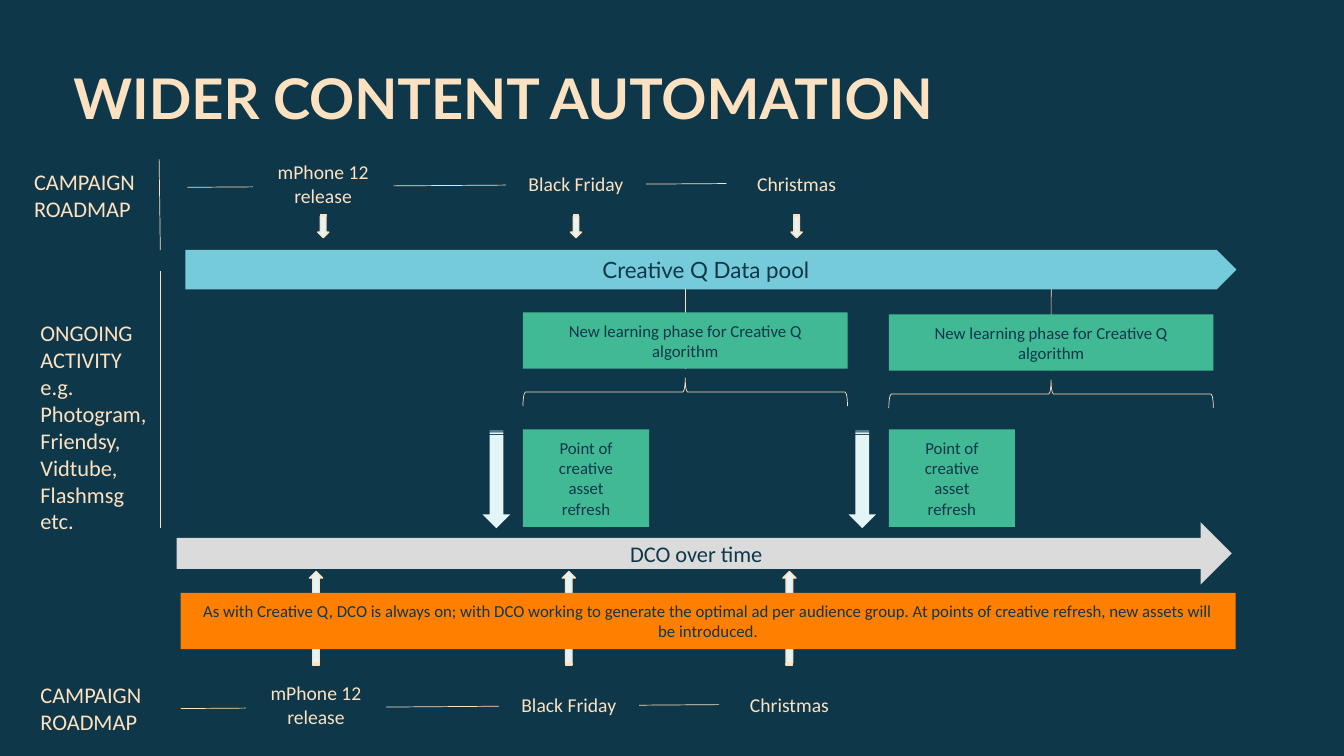
"""Build the slide on wider content automation."""
from dataclasses import dataclass

from lxml.etree import SubElement
from pptx import Presentation
from pptx.dml.color import RGBColor
from pptx.enum.shapes import MSO_CONNECTOR, MSO_SHAPE as Preset
from pptx.enum.text import MSO_ANCHOR as Anchor, MSO_AUTO_SIZE as AutoSize, PP_ALIGN as Align
from pptx.oxml.ns import qn
from pptx.shapes.autoshape import Shape
from pptx.shapes.connector import Connector
from pptx.slide import Slide
from pptx.util import Cm, Pt

COLOURS = {
    "navy": "0F374A",
    "cream": "FDE2C1",
    "ice": "E3F5F7",
    "green": "41B994",
    "sky": "75CBD9",
    "grey": "DBDBDB",
    "orange": "FF7F00",
}
LABEL_WIDTH = 3.53
PHASE_WIDTH, PHASE_HEIGHT = 8.18, 1.42
POINT_TOP, POINT_WIDTH, POINT_HEIGHT = 10.82, 3.18, 2.46


@dataclass
class Box:
    """A text block; a block without a fill is a plain text box."""
    text: str
    left: float
    top: float
    width: float
    height: float
    size: float
    fill: str | None = None
    colour: str = "cream"
    font: str = "Calibri"
    preset: Preset = Preset.RECTANGLE
    align: Align = Align.CENTER
    anchor: Anchor = Anchor.TOP
    inset_x: float = 0
    inset_y: float = 0
    grow: bool = True


@dataclass
class Event:
    """A campaign date, placed for the upper roadmap."""
    name: str
    left: float
    top: float
    height: float


@dataclass
class Roadmap:
    """A row of events with its label, line and arrows."""
    label_left: float
    label_top: float
    label_fill: str | None
    shift_x: float
    shift_y: float
    arrow_y: float
    arrow_length: float
    arrow_thickness: float
    rotation: int
    joins_label: bool


@dataclass
class Phase:
    """A learning phase and the asset refresh below it."""
    left: float
    top: float


EVENTS = [
    Event("mPhone 12 release", 6.38, 4.04, 1.19),
    Event("Black Friday", 12.75, 4.34, 0.61),
    Event("Christmas", 18.31, 4.32, 0.61),
]
ROADMAPS = [
    Roadmap(0.86, 4.24, None, 0, 0, 5.7, 0.58, 0.28, 90, False),
    Roadmap(1.02, 17.17, "navy", -0.18, 13.13, 15.58, 2.36, 0.33, 270, True),
]
PHASES = [Phase(13.18, 7.87), Phase(22.4, 7.92)]
DIVIDERS = [(4.01, 4.01, 4.04, 6.3), (4.04, 6.83, 4.04, 13.31)]
ONGOING = Box("ONGOING ACTIVITY\ne.g.\nPhotogram, Friendsy, Vidtube, Flashmsg\netc.",
              1.02, 8.05, LABEL_WIDTH, 5.46, 16, align=Align.LEFT)
BARS = [
    Box("DCO over time", 4.45, 13.16, 26.59, 1.57, 16, "grey", "navy", preset=Preset.RIGHT_ARROW,
        anchor=Anchor.MIDDLE, inset_x=0.2, inset_y=0.2, grow=False),
    Box("Creative Q Data pool", 4.67, 6.3, 26.49, 0.99, 16, "sky", "navy", "Lato", Preset.PENTAGON,
        anchor=Anchor.MIDDLE, inset_x=0.2, inset_y=0.2, grow=False),
]


def rgb(name: str) -> RGBColor:
    """Return the named colour."""
    return RGBColor.from_string(COLOURS[name])


def note(text: str, left: float, top: float, width: float, height: float, fill: str) -> Box:
    """Describe a filled panel with small dark text."""
    return Box(text, left, top, width, height, 12, fill, "navy",
               anchor=Anchor.MIDDLE, inset_x=0.51, inset_y=0.2)


def draw_box(page: Slide, box: Box) -> Shape:
    """Draw a text block."""
    frame = [Cm(value) for value in (box.left, box.top, box.width, box.height)]
    if box.fill:
        shape = page.shapes.add_shape(box.preset, *frame)
        shape.shadow.inherit = False
        shape.fill.solid()
        shape.fill.fore_color.rgb = rgb(box.fill)
        shape.line.fill.background()
    else:
        shape = page.shapes.add_textbox(*frame)
    body = shape.text_frame
    body.text = box.text
    body.word_wrap = True
    body.auto_size = AutoSize.SHAPE_TO_FIT_TEXT if box.grow else AutoSize.NONE
    body.vertical_anchor = box.anchor
    body.margin_left = body.margin_right = Cm(box.inset_x)
    body.margin_top = body.margin_bottom = Cm(box.inset_y)
    for para in body.paragraphs:
        para.alignment = box.align
        para.font.name = box.font
        para.font.size = Pt(box.size)
        para.font.color.rgb = rgb(box.colour)
    return shape


def draw_turned(page: Slide, preset: Preset, centre_x: float, centre_y: float, width: float,
                height: float, rotation: int, fill: str | None, line: float) -> None:
    """Draw a rotated preset around its centre; a zero line width means no outline."""
    shape = page.shapes.add_shape(preset, Cm(centre_x - width / 2), Cm(centre_y - height / 2),
                                  Cm(width), Cm(height))
    shape.shadow.inherit = False
    shape.rotation = rotation
    if fill:
        shape.fill.solid()
        shape.fill.fore_color.rgb = rgb(fill)
    else:
        shape.fill.background()
    if line:
        shape.line.color.rgb = rgb("cream")
        shape.line.width = Pt(line)
    else:
        shape.line.fill.background()


def draw_line(page: Slide, x1: float, y1: float, x2: float, y2: float) -> Connector:
    """Draw a thin straight line."""
    line = page.shapes.add_connector(MSO_CONNECTOR.STRAIGHT, Cm(x1), Cm(y1), Cm(x2), Cm(y2))
    line.line.color.rgb = rgb("cream")
    line.line.width = Pt(0.5)
    SubElement(line._element.spPr, qn("a:effectLst"))
    return line


def draw_roadmap(page: Slide, row: Roadmap) -> None:
    """Draw the label, the line, the events and their arrows."""
    line = draw_line(page, 4.72, 4.72, 18.31, 4.62)
    label = draw_box(page, Box("CAMPAIGN ROADMAP", row.label_left, row.label_top, LABEL_WIDTH,
                               1.37, 16, row.label_fill, align=Align.LEFT))
    if row.joins_label:
        line.begin_connect(label, 3)
    for event in EVENTS:
        left = event.left + row.shift_x
        name = draw_box(page, Box(event.name, left, event.top + row.shift_y, LABEL_WIDTH,
                                  event.height, 14, "navy"))
        draw_turned(page, Preset.STRIPED_RIGHT_ARROW, left + LABEL_WIDTH / 2, row.arrow_y,
                    row.arrow_length, row.arrow_thickness, row.rotation, "ice", 1)
    line.end_connect(name, 1)


def draw_phase(page: Slide, phase: Phase) -> None:
    """Draw a learning phase, its brace and its refresh point."""
    middle, bottom = phase.left + PHASE_WIDTH / 2, phase.top + PHASE_HEIGHT
    stem = draw_line(page, middle, bottom, middle, bottom - 2.54)
    panel = draw_box(page, note("New learning phase for Creative Q algorithm", phase.left,
                                phase.top, PHASE_WIDTH, PHASE_HEIGHT, "green"))
    stem.begin_connect(panel, 2)
    draw_turned(page, Preset.RIGHT_BRACE, middle, phase.top + 2.01, 0.71, PHASE_WIDTH,
                270, None, 0.5)
    draw_box(page, note("Point of creative asset refresh", phase.left, POINT_TOP,
                        POINT_WIDTH, POINT_HEIGHT, "green"))
    draw_turned(page, Preset.STRIPED_RIGHT_ARROW, phase.left - 0.67, 12.08, POINT_HEIGHT, 0.69,
                90, "ice", 0)


def draw_title(page: Slide) -> None:
    """Place and format the title."""
    title = page.shapes.title
    title.left, title.top, title.width, title.height = Cm(1.85), Cm(1.85), Cm(30.15), Cm(3)
    body = title.text_frame
    body.text = "WIDER CONTENT AUTOMATION"
    body.vertical_anchor = Anchor.TOP
    body.margin_left = body.margin_right = body.margin_top = body.margin_bottom = 0
    para = body.paragraphs[0]
    para.alignment = Align.LEFT
    para.line_spacing = 0.85
    para.font.name, para.font.size, para.font.bold = "Lato", Pt(40), True
    para.font.color.rgb = rgb("cream")


def main() -> None:
    """Build and save the deck."""
    deck = Presentation()
    deck.slide_width, deck.slide_height = Cm(33.87), Cm(19.05)
    page = deck.slides.add_slide(deck.slide_layouts[5])
    page.background.fill.solid()
    page.background.fill.fore_color.rgb = rgb("navy")
    draw_title(page)
    for row in ROADMAPS:
        draw_roadmap(page, row)
    for phase in PHASES:
        draw_phase(page, phase)
    for divider in DIVIDERS:
        draw_line(page, *divider)
    for box in (ONGOING, *BARS):
        draw_box(page, box)
    draw_box(page, note("As with Creative Q, DCO is always on; with DCO working to generate the "
                        "optimal ad per audience group. At points of creative refresh, new assets "
                        "will be introduced.", 4.55, 14.94, 26.59, 1.42, "orange"))
    deck.save("out.pptx")


if __name__ == "__main__":
    main()
